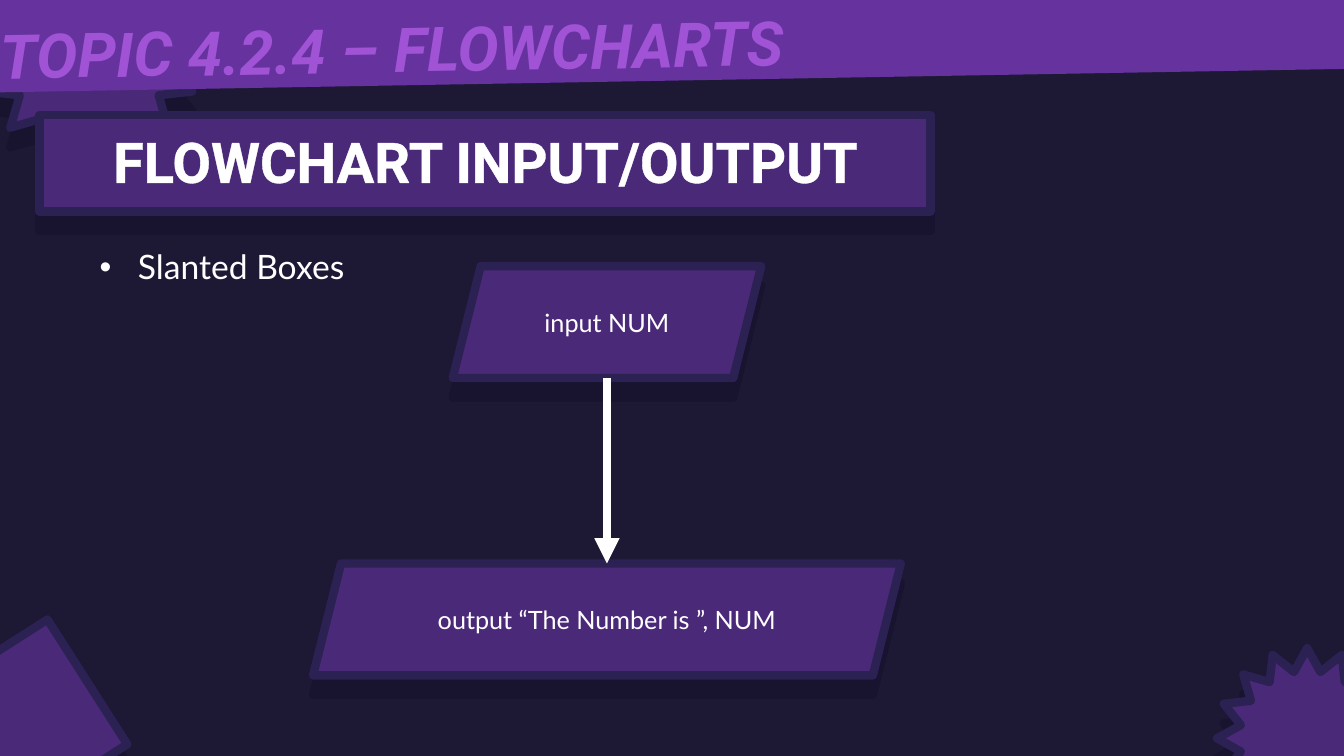
from dataclasses import dataclass
from lxml.etree import SubElement as Sub
from pptx import Presentation
from pptx.dml.color import RGBColor as Rgb
from pptx.enum.shapes import MSO_CONNECTOR as Line, MSO_SHAPE as Form
from pptx.enum.text import MSO_ANCHOR as Anchor, PP_ALIGN as Align
from pptx.oxml.ns import qn
from pptx.util import Inches, Pt


@dataclass(frozen=True)
class Theme:
    back: str = "1D1834"
    fill: str = "4B2979"
    edge: str = "2B2153"
    shade: str = "18132F"
    band: str = "65329E"
    topic: str = "A053D5"
    white: str = "FFFFFF"
    head: str = "Roboto"
    body: str = "Lato"
    big: int = 44
    title: int = 40
    item: int = 24
    label: int = 18
    border: int = 6


class Pen:
    def __init__(self, slide, theme):
        self.slide, self.theme = slide, theme
        self.shapes = slide.shapes
        back = slide.background.fill
        back.solid()
        back.fore_color.rgb = Rgb.from_string(theme.back)

    def group(self):
        """Draw what follows in a new group."""
        self.shapes = self.slide.shapes.add_group_shape().shapes

    def plain(self):
        """Draw what follows straight on the slide."""
        self.shapes = self.slide.shapes

    def shape(self, form, at, color, turn=0):
        item = self.shapes.add_shape(form, *map(Inches, at))
        item.rotation = turn
        item.shadow.inherit = False
        item.fill.solid()
        item.fill.fore_color.rgb = Rgb.from_string(color)
        item.line.fill.background()
        return item

    def block(self, form, at, turn=0):
        """Bordered shape with a hard shadow below it."""
        item = self.shape(form, at, self.theme.fill, turn)
        item.line.color.rgb = Rgb.from_string(self.theme.edge)
        item.line.width = Pt(self.theme.border)
        effects = item.element.spPr.find(qn("a:effectLst"))
        cast = Sub(effects, qn("a:outerShdw"), dist=str(Pt(14)),
                   dir="5400000", algn="t", rotWithShape="0")
        Sub(cast, qn("a:srgbClr"), val=self.theme.shade)
        return item

    def letter(self, frame, text, size, face, color, align=Align.LEFT):
        frame.word_wrap = True
        frame.text = text
        para = frame.paragraphs[0]
        para.alignment = align
        font = para.runs[0].font
        font.size, font.name = Pt(size), face
        font.color.rgb = Rgb.from_string(color)
        return para

    def text(self, at, *style, turn=0):
        box = self.shapes.add_textbox(*map(Inches, at))
        box.rotation = turn
        return self.letter(box.text_frame, *style)

    def heading(self, at, text, size, color, align, turn=0, slant=False):
        """Bold text with an outline in its own colour."""
        para = self.text(at, text, size, self.theme.head, color, align,
                         turn=turn)
        run = para.runs[0]
        run.font.bold, run.font.italic = True, slant
        props = run._r.get_or_add_rPr()
        line = Sub(props, qn("a:ln"), w=str(Pt(1.5)))
        props.insert(0, line)
        Sub(Sub(line, qn("a:solidFill")), qn("a:srgbClr"), val=color)

    def bullet(self, at, text):
        para = self.text(at, text, self.theme.item, self.theme.body,
                         self.theme.white)
        para.line_spacing = 0.9
        props = para._p.get_or_add_pPr()
        indent = Inches(0.38)
        props.set("marL", str(indent))
        props.set("indent", str(-indent))
        Sub(props, qn("a:buFont"), typeface="Arial")
        Sub(props, qn("a:buChar"), char="•")

    def step(self, at, text):
        """Slanted flowchart box."""
        frame = self.block(Form.PARALLELOGRAM, at).text_frame
        frame.vertical_anchor = Anchor.MIDDLE
        self.letter(frame, text, self.theme.label, self.theme.body,
                    self.theme.white, Align.CENTER)

    def arrow(self, *ends):
        item = self.shapes.add_connector(Line.STRAIGHT, *map(Inches, ends))
        item.line.color.rgb = Rgb.from_string(self.theme.white)
        item.line.width = Pt(self.theme.border)
        props = item.element.spPr
        Sub(props.find(qn("a:ln")), qn("a:tailEnd"), type="triangle")
        Sub(props, qn("a:effectLst"))


def main():
    deck = Presentation()
    deck.slide_width, deck.slide_height = Inches(13.33), Inches(7.5)
    theme = Theme()
    pen = Pen(deck.slides.add_slide(deck.slide_layouts[6]), theme)

    # Topic band over the corner star
    pen.block(Form.STAR_16_POINT, (-0.22, -0.62, 2.21, 2.21))
    pen.group()
    pen.shape(Form.RECTANGLE, (-0.22, -0.68, 13.86, 1.48), theme.band, 359)
    pen.heading((-0.1, -0.01, 15.87, 0.84), "TOPIC 4.2.4 – FLOWCHARTS",
                theme.big, theme.topic, Align.LEFT, turn=359, slant=True)

    # Title
    pen.group()
    pen.block(Form.RECTANGLE, (0.39, 1.14, 8.84, 0.96))
    pen.heading((0.48, 1.21, 8.67, 2.12), "FLOWCHART INPUT/OUTPUT",
                theme.title, theme.white, Align.CENTER)

    # Bottom corners
    pen.plain()
    pen.block(Form.RECTANGLE, (-0.57, 6.45, 1.56, 1.47), 327.4)
    pen.block(Form.STAR_16_POINT, (12.07, 6.43, 1.79, 1.79))

    # Bullet and flowchart, centred on one axis
    pen.bullet((0.89, 2.44, 2.82, 0.76), "Slanted Boxes")
    axis, tall, first, last = 6.02, 1.11, 2.64, 5.59
    for top, wide, text in ((first, 3.06, "input NUM"),
                            (last, 5.83, "output “The Number is ”, NUM")):
        pen.step((axis - wide / 2, top, wide, tall), text)
    pen.arrow(axis, first + tall, axis, last)

    deck.save("out.pptx")


if __name__ == "__main__":
    main()
